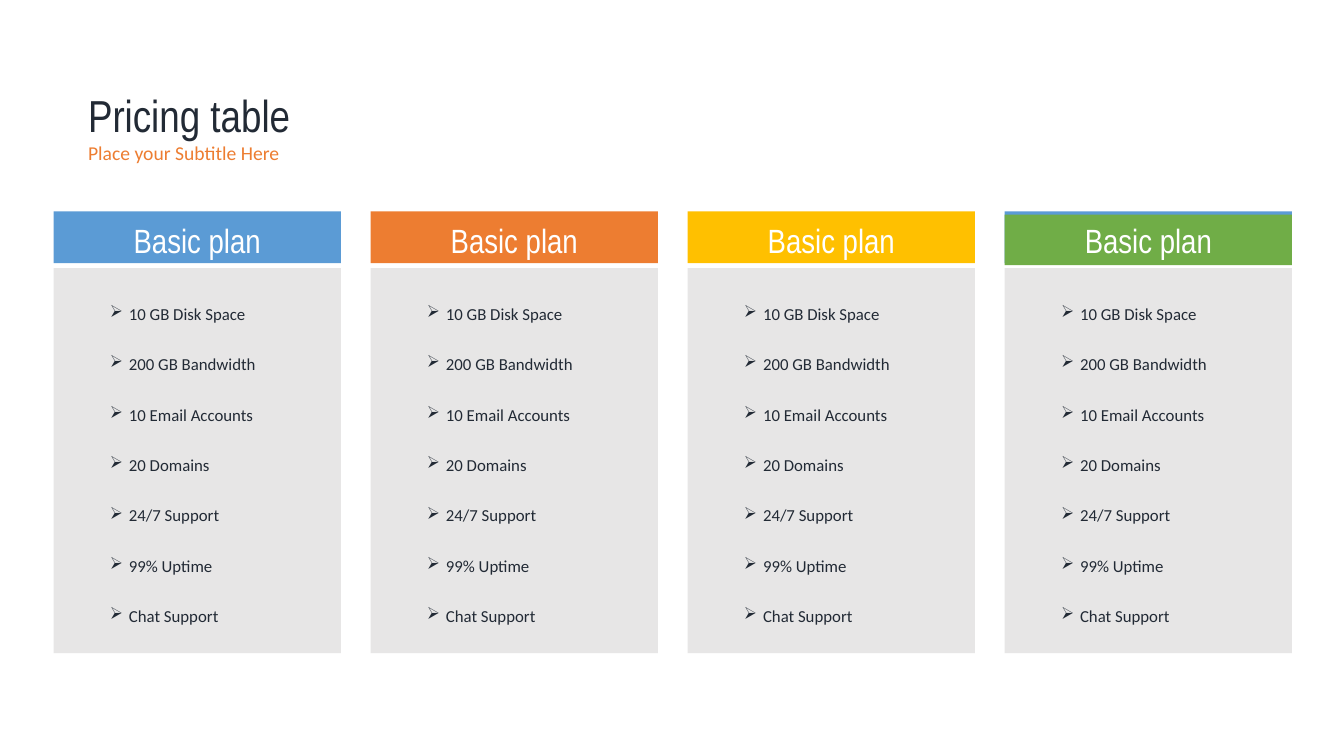
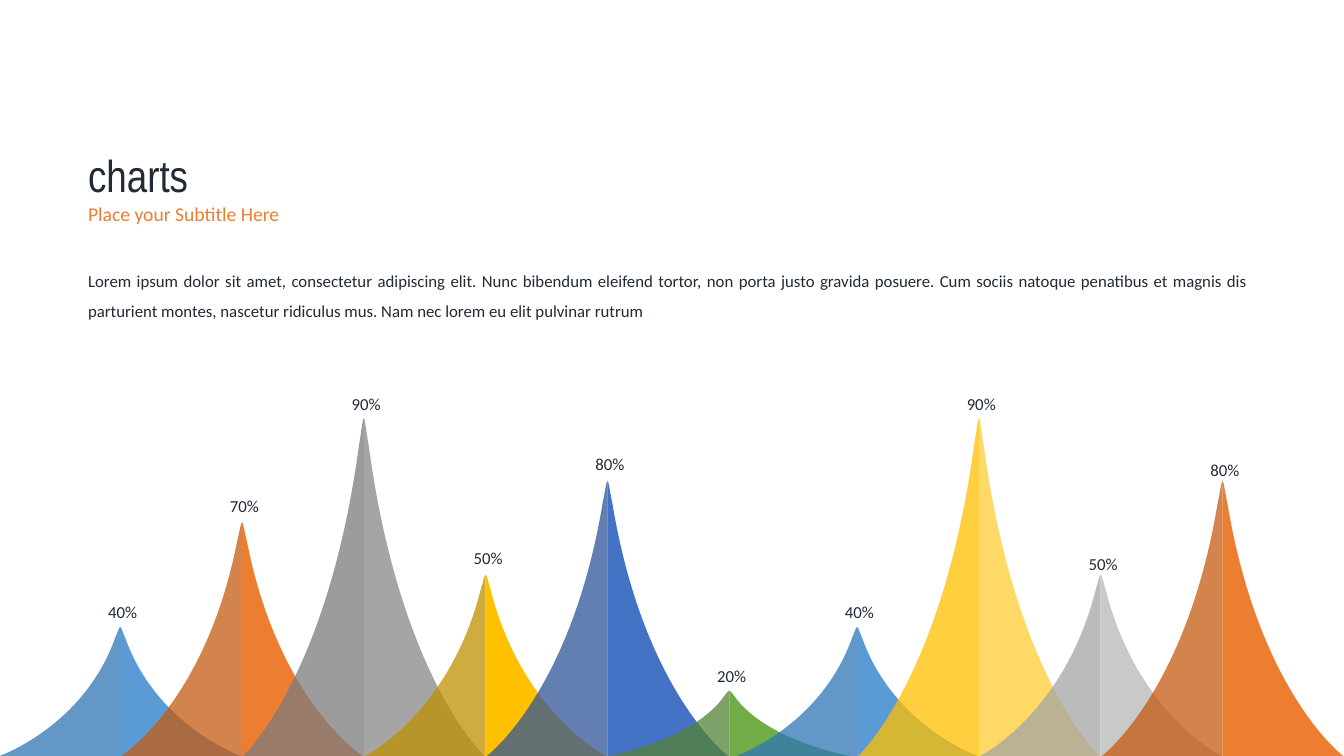
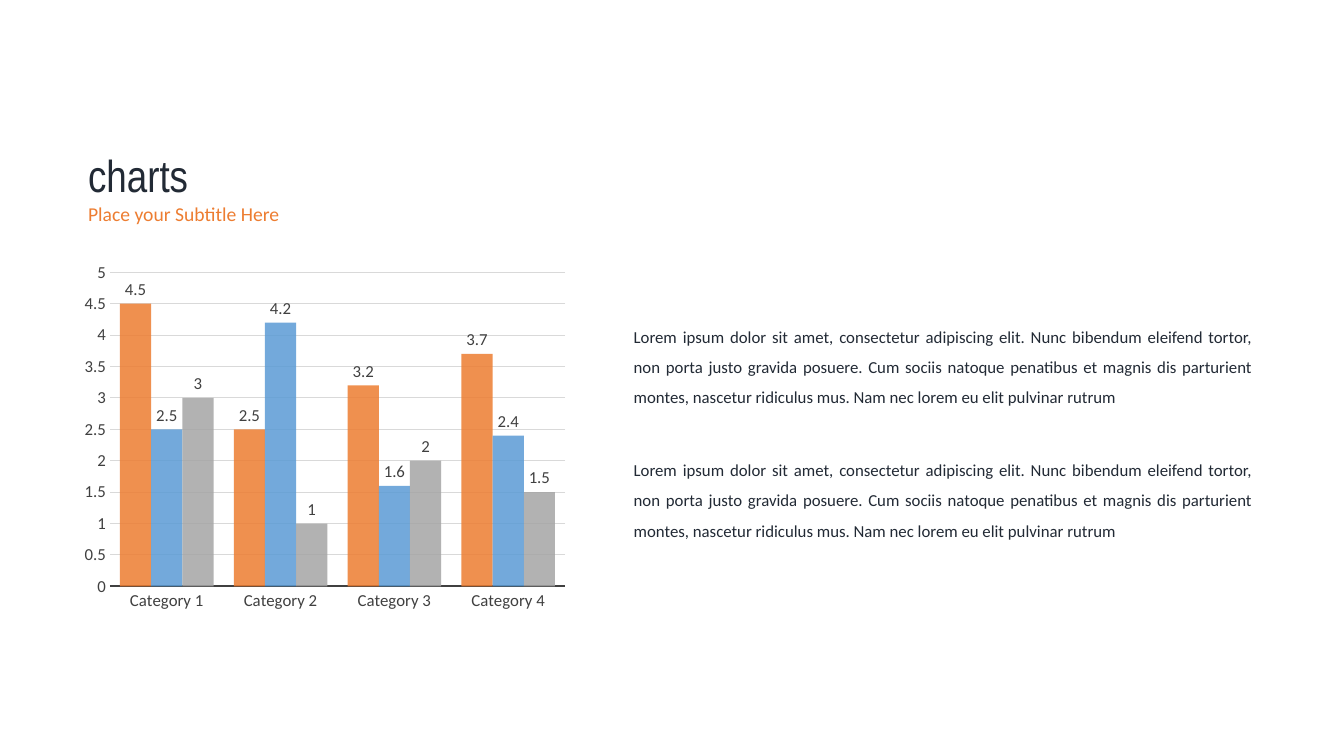
"""Build a pricing table slide, a peak chart slide and a column chart slide."""
from lxml.etree import SubElement
from pptx import Presentation
from pptx.chart.data import CategoryChartData
from pptx.dml.color import RGBColor
from pptx.enum.chart import XL_CHART_TYPE as ChartType, XL_LABEL_POSITION as LabelPosition, XL_TICK_MARK as TickMark
from pptx.enum.shapes import MSO_SHAPE as Preset
from pptx.enum.text import MSO_AUTO_SIZE as AutoSize, PP_ALIGN as Align
from pptx.oxml import parse_xml
from pptx.oxml.ns import nsdecls, qn
from pptx.util import Cm, Pt

COLORS = {
    "ink": "222A35", "white": "FFFFFF", "panel": "E7E6E6", "axis": "404040", "grid": "D9D9D9",
    "blue": "5B9BD5", "orange": "ED7D31", "gray": "A5A5A5", "gold": "FFC000",
    "indigo": "4472C4", "green": "70AD47", "light gold": "FFD966", "light gray": "C9C9C9",
    "dark blue": "2E75B6", "dark orange": "C55A11", "dark gray": "7C7C7C",
    "dark gold": "BF9000", "dark indigo": "2F5597", "dark green": "548235",
}
RGB = {name: RGBColor.from_string(value) for name, value in COLORS.items()}
BODY_FONT, TITLE_FONT = "Calibri", "Arial Narrow"
LOREM = (
    "Lorem ipsum dolor sit amet, consectetur adipiscing elit. Nunc bibendum eleifend tortor, "
    "non porta justo gravida posuere. Cum sociis natoque penatibus et magnis dis parturient "
    "montes, nascetur ridiculus mus. Nam nec lorem eu elit pulvinar rutrum"
)


def add_text(slide, box, text, size=12, color="ink", font=BODY_FONT, align=None, spacing=None, bullet=None):
    shape = slide.shapes.add_textbox(*map(Cm, box))
    text_frame = shape.text_frame
    text_frame.word_wrap = True
    text_frame.auto_size = AutoSize.SHAPE_TO_FIT_TEXT
    text_frame.text = text
    for paragraph in text_frame.paragraphs:
        if bullet:
            properties = paragraph._p.get_or_add_pPr()
            properties.set("marL", str(Cm(0.48)))
            properties.set("indent", str(-Cm(0.48)))
            SubElement(properties, qn("a:buChar"), char=bullet)
        paragraph.alignment = align
        paragraph.line_spacing = spacing
        for run in paragraph.runs:
            run.font.name = font
            run.font.size = Pt(size)
            run.font.color.rgb = RGB[color]
    return shape


def set_opacity(properties, percent):
    color_element = properties.xpath("./a:solidFill/a:srgbClr")[0]
    SubElement(color_element, qn("a:alpha"), val=str(percent * 1000))


presentation = Presentation()
presentation.slide_width, presentation.slide_height = Cm(33.87), Cm(19.05)

slides = []
for title, top in (("Pricing table", 2.08), ("charts", 3.61), ("charts", 3.61)):
    slide = presentation.slides.add_slide(presentation.slide_layouts[6])
    add_text(slide, (1.97, top, 27.58, 1.63), title, 32, font=TITLE_FONT)
    add_text(slide, (1.97, top + 1.35, 26.09, 0.86), "Place your Subtitle Here", 14, "orange")
    slides.append(slide)
pricing_slide, peaks_slide, columns_slide = slides

FEATURES = (
    "10 GB Disk Space", "200 GB Bandwidth", "10 Email Accounts", "20 Domains",
    "24/7 Support", "99% Uptime", "Chat Support",
)
PLAN_WIDTH, PLAN_STEP = 7.24, 7.99
PLANS = (("blue", None), ("orange", None), ("gold", None), ("blue", "green"))
for index, (band_color, label_fill) in enumerate(PLANS):
    left = 1.35 + index * PLAN_STEP
    for top, height, color in ((6.76, 9.7, "panel"), (5.33, 1.3, band_color)):
        shape = pricing_slide.shapes.add_shape(
            Preset.RECTANGLE, Cm(left), Cm(top), Cm(PLAN_WIDTH), Cm(height))
        shape.shadow.inherit = False
        shape.fill.solid()
        shape.fill.fore_color.rgb = RGB[color]
        shape.line.fill.background()
    add_text(pricing_slide, (left + 1.17, 6.76, 4.9, 9.25), "\n".join(FEATURES), spacing=2.5, bullet="➢")
    label = add_text(pricing_slide, (left, 5.41, PLAN_WIDTH, 1.27), "Basic plan", 24, "white",
                     TITLE_FONT, Align.CENTER)
    if label_fill:
        label.fill.solid()
        label.fill.fore_color.rgb = RGB[label_fill]

BASELINE, HALF_WIDTH, PEAK_STEP = 19.05, 3.04, 3.07
PEAK_HEIGHTS = {20: 1.65, 40: 3.25, 50: 4.57, 70: 5.89, 80: 6.93, 90: 8.51}
PEAKS = (
    (40, "dark blue", "blue", 0, 0.75), (70, "dark orange", "orange", 0, 0.8),
    (90, "dark gray", "gray", 0, 0.75), (50, "dark gold", "gold", 0, 0.8),
    (80, "dark indigo", "indigo", 0, 0.8), (20, "dark green", "green", 0, 0.75),
    (40, "dark blue", "blue", 0.15, 0.75), (90, "gold", "light gold", 0.15, 0.75),
    (50, "gray", "light gray", 0.15, 0.66), (80, "dark orange", "orange", 0.15, 0.66),
)
SLOPE_POINTS = (
    (1, 1), (1, 1), (0.3, 0.77), (0.04, 0.08), (0.02, 0.04), (0.01, 0), (0, 0), (0, 1),
)
for index, (percent, left_color, right_color, shift, label_gap) in enumerate(PEAKS):
    center = 3.03 + index * PEAK_STEP + shift
    height = PEAK_HEIGHTS[percent]
    tip = BASELINE - height
    for side, color, opacity in ((-1, left_color, 75), (1, right_color, 100)):
        outline = [(Cm(center + side * x * HALF_WIDTH), Cm(tip + y * height)) for x, y in SLOPE_POINTS]
        builder = peaks_slide.shapes.build_freeform(*outline[0])
        builder.add_line_segments(outline[1:], close=True)
        shape = builder.convert_to_shape()
        segments = shape._element.xpath(".//a:lnTo")
        for first in (0, 3):
            curve = segments[first]
            for segment in segments[first + 1:first + 3]:
                curve.append(segment[0])
                segment.getparent().remove(segment)
            curve.tag = qn("a:cubicBezTo")
        shape.shadow.inherit = False
        shape.fill.solid()
        shape.fill.fore_color.rgb = RGB[color]
        shape.line.fill.background()
        if opacity < 100:
            set_opacity(shape._element.spPr, opacity)
    add_text(peaks_slide, (center - 0.74, tip - label_gap, 1.6, 0.76), f"{percent}%", align=Align.CENTER)
add_text(peaks_slide, (1.97, 6.45, 29.74, 1.8), LOREM, align=Align.JUSTIFY, spacing=1.5)

chart_data = CategoryChartData()
chart_data.categories = [f"Category {number}" for number in range(1, 5)]
chart_data.add_series("Series 1", (4.5, 2.5, 3.2, 3.7))
chart_data.add_series("Series 2", (2.5, 4.2, 1.6, 2.4))
chart_data.add_series("Series 3", (3, 1, 2, 1.5))
chart = columns_slide.shapes.add_chart(
    ChartType.COLUMN_CLUSTERED, Cm(1.96), Cm(6.38), Cm(14.71), Cm(9.5), chart_data).chart
chart.has_title = False
chart.has_legend = False
chart.font.name = BODY_FONT
chart.font.size = Pt(12)
chart.font.color.rgb = RGB["axis"]

plot = chart.plots[0]
plot.gap_width = 65
plot.overlap = 0
plot.vary_by_categories = False
for series, color in zip(plot.series, ("orange", "blue", "gray")):
    series.format.fill.solid()
    series.format.fill.fore_color.rgb = RGB[color]
    set_opacity(series._element.spPr, 85)
    labels = series.data_labels
    labels.show_value = True
    labels.position = LabelPosition.OUTSIDE_END
    labels.font.name = BODY_FONT
    labels.font.size = Pt(12)
    labels.font.color.rgb = RGB["axis"]

category_axis, value_axis = chart.category_axis, chart.value_axis
for axis in (category_axis, value_axis):
    axis.major_tick_mark = axis.minor_tick_mark = TickMark.NONE
    axis.tick_labels.number_format = "General"
    axis.tick_labels.number_format_is_linked = False
category_axis.format.line.color.rgb = RGB["axis"]
category_axis.format.line.width = Pt(1.5)
value_axis.minimum_scale, value_axis.maximum_scale, value_axis.major_unit = 0, 5, 0.5
value_axis.format.line.fill.background()
value_axis.major_gridlines.format.line.color.rgb = RGB["grid"]
value_axis.major_gridlines.format.line.width = Pt(0.75)

plot_area = chart._chartSpace.chart.plotArea
for layout in plot_area.findall(qn("c:layout")):
    plot_area.remove(layout)
plot_area.insert(0, parse_xml(
    f'<c:layout {nsdecls("c")}><c:manualLayout><c:layoutTarget val="inner"/>'
    '<c:xMode val="edge"/><c:yMode val="edge"/><c:x val="0.055"/><c:y val="0.051"/>'
    '<c:w val="0.78"/><c:h val="0.833"/></c:manualLayout></c:layout>'))

for top in (7.85, 11.21):
    add_text(columns_slide, (15.72, top, 16.1, 2.57), LOREM, align=Align.JUSTIFY, spacing=1.5)

presentation.save("out.pptx")
